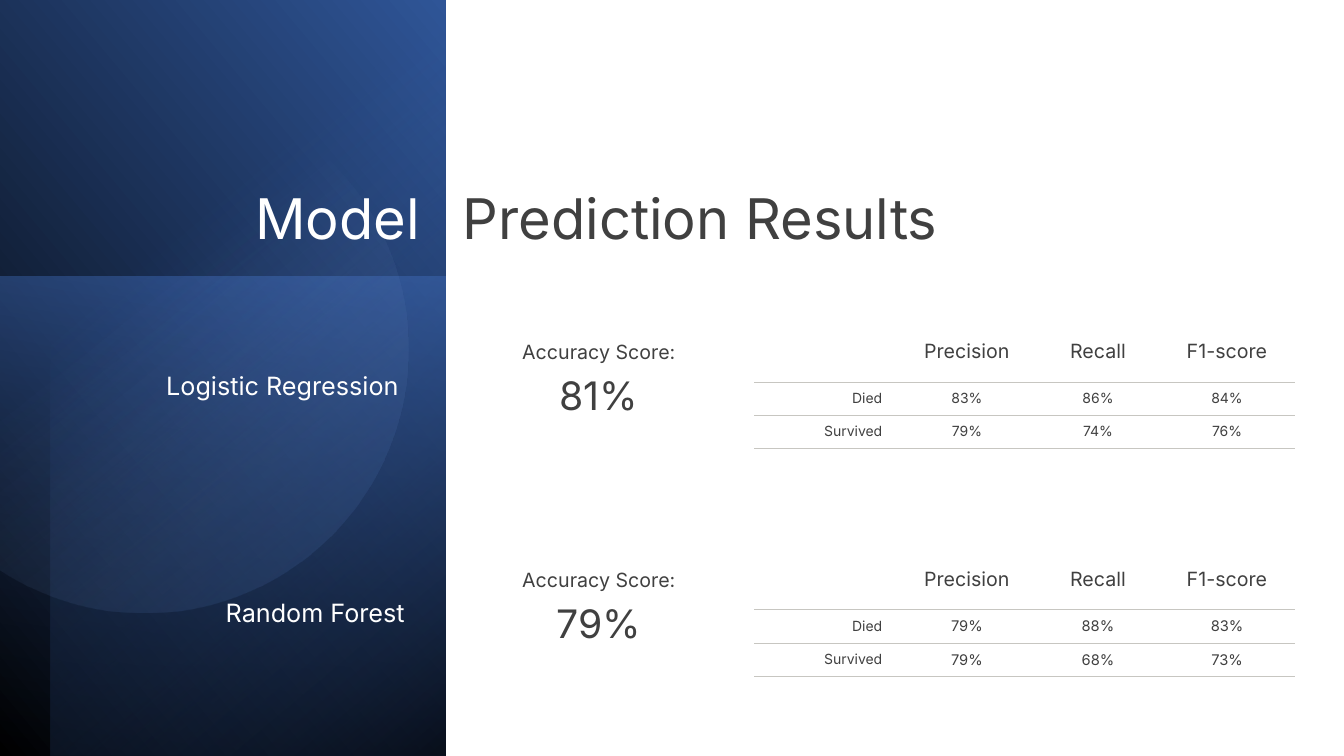
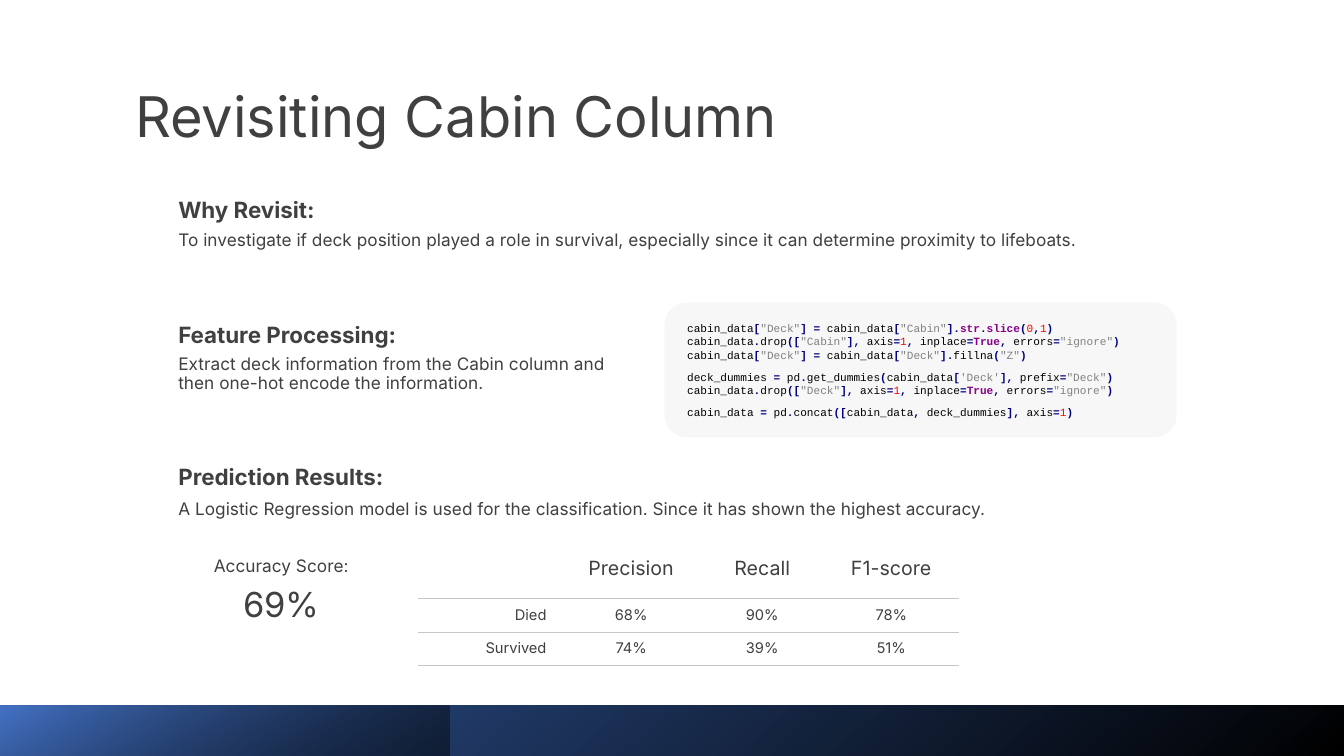
"""Build two slides on survival model results and the cabin feature."""
import math
from itertools import groupby

from lxml import etree
from pptx import Presentation
from pptx.dml.color import RGBColor
from pptx.enum.shapes import MSO_SHAPE
from pptx.enum.text import MSO_ANCHOR, MSO_AUTO_SIZE, PP_ALIGN
from pptx.oxml.ns import qn
from pptx.util import Inches, Pt

W, H = 13.33, 7.5
FONT, CODE_FONT = "Inter", "Courier New"
COLORS = {"ink": "404040", "white": "FFFFFF", "rule": "C7C6C1", "black": "000000",
          "blue": "2F5597", "bright": "4472C4", "deep": "203864", "pale": "8FAADC",
          "grey": "808080", "navy": "000080", "purple": "880088", "red": "FF0000"}

HEADERS = ["", "Precision", "Recall", "F1-score"]
MODELS = [
    ("Logistic Regression", 1.55, "81%", 10,
     [["Died", "83%", "86%", "84%"], ["Survived", "79%", "74%", "76%"]]),
    ("Random Forest", 2.14, "79%", 10.5,
     [["Died", "79%", "88%", "83%"], ["Survived", "79%", "68%", "73%"]]),
]
CABIN_SCORES = [["Died", "68%", "90%", "78%"], ["Survived", "74%", "39%", "51%"]]
SECTIONS = [
    ("Why Revisit:", "To investigate if deck position played a role in survival, "
     "especially since it can determine proximity to lifeboats.",
     (1.67, 1.75, 9.6, 0.96), MSO_ANCHOR.MIDDLE, 0.9),
    ("Feature Processing:", "Extract deck information from the Cabin column and then "
     "one-hot encode the information.",
     (1.67, 3.08, 4.77, 0.96), MSO_ANCHOR.MIDDLE, 0.9),
    ("Prediction Results:", "A Logistic Regression model is used for the classification. "
     "Since it has shown the highest accuracy.",
     (1.67, 4.55, 9.25, 0.65), MSO_ANCHOR.TOP, 1.0),
]
CODE = [
    ['cabin_data["Deck"] = cabin_data["Cabin"].str.slice(0,1)',
     'cabin_data.drop(["Cabin"], axis=1, inplace=True, errors="ignore")',
     'cabin_data["Deck"] = cabin_data["Deck"].fillna("Z")'],
    ['deck_dummies = pd.get_dummies(cabin_data[\'Deck\'], prefix="Deck")',
     'cabin_data.drop(["Deck"], axis=1, inplace=True, errors="ignore")'],
    ['cabin_data = pd.concat([cabin_data, deck_dummies], axis=1)'],
]
KEYWORDS = {"str", "slice", "True"}
CODE_STYLES = {"string": ("grey", False), "sign": ("navy", True), "number": ("red", False),
               "keyword": ("purple", True), "name": ("black", False)}

PANEL = 4.42
PANEL_LAYERS = [
    ((0, 0, PANEL, 7.52), 90, True, [(0, "black", 100), (100, "blue", 100)], 310),
    ((0, 2.74, PANEL, 4.76), 270, False, [(0, "bright", 50), (100, "deep", 0)], 190),
    ((0.5, 0, 3.92, H), 270, True, [(0, "black", 59), (69, "bright", 0)], 220),
]
FOOTER_LAYERS = [
    ((0, 7, W, 0.5), 0, False, [(0, "black", 100), (100, "blue", 100)], 230),
    ((0, 7, 4.46, 0.5), 0, False, [(0, "black", 46), (99, "bright", 100)], 240),
]
DISC = (1.43, 3.46, 2.62)
DISC_STOPS = [(39, "pale", 0), (100, "blue", 26)]
TABLE_COLS, TABLE_ROWS = [1.38, 1.42, 1.18, 1.38], [0.61, 0.33, 0.33]


def inches(box):
    return [Inches(value) for value in box]


def add_run(paragraph, text, size, color="ink", bold=False, font=FONT):
    run = paragraph.add_run()
    run.text = text
    run.font.size, run.font.name, run.font.bold = Pt(size), font, bold
    run.font.color.rgb = RGBColor.from_string(COLORS[color])


def color_node(parent, color, alpha=100):
    node = etree.SubElement(parent, qn("a:srgbClr"), val=COLORS[color])
    if alpha < 100:
        etree.SubElement(node, qn("a:alpha"), val=str(alpha * 1000))


def paint(shape, stops, angle):
    """Fill a shape with a gradient whose angle runs clockwise."""
    shape.shadow.inherit = False
    shape.line.fill.background()
    shape.fill.gradient()
    shape.fill.gradient_angle = 360 - angle
    stop_list = shape._element.spPr.find(qn("a:gradFill")).find(qn("a:gsLst"))
    for old in list(stop_list):
        stop_list.remove(old)
    for position, color, alpha in stops:
        color_node(etree.SubElement(stop_list, qn("a:gs"), pos=str(position * 1000)), color, alpha)


def add_layers(slide, layers):
    for (left, top, width, height), turn, flip, stops, angle in layers:
        center_x, center_y = left + width / 2, top + height / 2
        if turn:
            width, height = height, width
        box = (center_x - width / 2, center_y - height / 2, width, height)
        band = slide.shapes.add_shape(MSO_SHAPE.RECTANGLE, *inches(box))
        band.rotation = turn
        if flip:
            band._element.spPr.find(qn("a:xfrm")).set("flipH", "1")
        paint(band, stops, angle)


def add_disc(slide):
    """Draw a disc cut straight by the left edge of the slide."""
    x, y, radius = DISC
    limit, steps = math.acos(-x / radius), 120
    angles = [limit * (2 * i / steps - 1) for i in range(steps + 1)]
    points = [(Inches(x + radius * math.cos(a)), Inches(y + radius * math.sin(a))) for a in angles]
    builder = slide.shapes.build_freeform(*points[0], scale=1.0)
    builder.add_line_segments(points[1:], close=True)
    paint(builder.convert_to_shape(), DISC_STOPS, 51.6)


def new_slide(deck, box, anchor, runs):
    slide = deck.slides.add_slide(deck.slide_layouts[5])
    title = slide.shapes.title
    title.left, title.top, title.width, title.height = inches(box)
    frame = title.text_frame
    frame.auto_size, frame.vertical_anchor, frame.word_wrap = MSO_AUTO_SIZE.NONE, anchor, True
    paragraph = frame.paragraphs[0]
    paragraph.alignment, paragraph.line_spacing = PP_ALIGN.LEFT, 0.9
    for text, color in runs:
        add_run(paragraph, text, 40, color)
    return slide


def add_text(slide, box, lines, anchor=MSO_ANCHOR.TOP, align=PP_ALIGN.LEFT,
             spacing=1.0, before=0, after=0):
    frame = slide.shapes.add_textbox(*inches(box)).text_frame
    frame.word_wrap, frame.vertical_anchor = True, anchor
    for index, (text, size, color, bold) in enumerate(lines):
        paragraph = frame.add_paragraph() if index else frame.paragraphs[0]
        paragraph.alignment, paragraph.line_spacing = align, spacing
        paragraph.space_before, paragraph.space_after = Pt(before), Pt(after)
        add_run(paragraph, text, size, color, bold)


def add_accuracy(slide, box, score, size, gap):
    lines = [("Accuracy Score:", size, "ink", False), (score, size * 2, "ink", False)]
    add_text(slide, box, lines, align=PP_ALIGN.CENTER, before=gap)


def rule_cell(cell, sides):
    properties = cell._tc.get_or_add_tcPr()
    for index, side in enumerate(("lnL", "lnR", "lnT", "lnB")):
        line = etree.Element(qn("a:" + side), w=str(Pt(0.75)))
        properties.insert(index, line)
        if side in sides:
            color_node(etree.SubElement(line, qn("a:solidFill")), "rule")
        else:
            etree.SubElement(line, qn("a:noFill"))


def add_scores(slide, left, top, rows, label_size, value_size):
    grid = [HEADERS] + rows
    box = (left, top, sum(TABLE_COLS), sum(TABLE_ROWS))
    table = slide.shapes.add_table(len(grid), len(HEADERS), *inches(box)).table
    table.first_row = table.horz_banding = False
    for column, width in zip(table.columns, TABLE_COLS):
        column.width = Inches(width)
    for r, (values, height) in enumerate(zip(grid, TABLE_ROWS)):
        table.rows[r].height = Inches(height)
        for c, value in enumerate(values):
            cell = table.cell(r, c)
            cell.fill.background()
            rule_cell(cell, ("lnT", "lnB") if r else ("lnB",))
            cell.vertical_anchor = MSO_ANCHOR.MIDDLE
            cell.margin_left, cell.margin_right = Inches(0.15), Inches(0.11)
            cell.margin_top = cell.margin_bottom = Inches(0.07)
            paragraph = cell.text_frame.paragraphs[0]
            paragraph.alignment = PP_ALIGN.CENTER if c or not r else PP_ALIGN.RIGHT
            if value:
                add_run(paragraph, value, 14 if not r else value_size if c else label_size)


def code_tokens(line):
    """Split a code line into pieces of text with their style."""
    quoted, marked = False, []
    for char in line:
        quote = char in "\"'"
        word = char.isalnum() or char == "_"
        marked.append((char, "string" if quote or quoted else "name" if word else "sign"))
        quoted ^= quote
    for kind, group in groupby(marked, key=lambda pair: pair[1]):
        text = "".join(char for char, _ in group)
        if kind == "name":
            kind = "number" if text.isdigit() else "keyword" if text in KEYWORDS else "name"
        yield text, CODE_STYLES[kind]


def add_code(slide, box):
    card = slide.shapes.add_shape(MSO_SHAPE.ROUNDED_RECTANGLE, *inches(box))
    card.shadow.inherit = False
    card.line.fill.background()
    card.fill.solid()
    card.fill.fore_color.rgb = RGBColor.from_string(COLORS["grey"])
    shade = card._element.spPr.find(qn("a:solidFill"))[0]
    etree.SubElement(shade, qn("a:alpha"), val="6000")
    frame = card.text_frame
    frame.word_wrap, frame.vertical_anchor = True, MSO_ANCHOR.MIDDLE
    frame.margin_left = frame.margin_right = Inches(0.16)
    frame.margin_top = frame.margin_bottom = Inches(0.12)
    for index, block in enumerate(CODE):
        paragraph = frame.add_paragraph() if index else frame.paragraphs[0]
        paragraph.alignment = PP_ALIGN.LEFT
        paragraph.line_spacing, paragraph.space_after = Pt(9.6), Pt(6)
        for number, line in enumerate(block):
            if number:
                paragraph.add_line_break()
            for text, (color, bold) in code_tokens(line):
                add_run(paragraph, text, 7.9, color, bold, CODE_FONT)


def build_results(deck):
    slide = new_slide(deck, (2.43, 1.85, 9.35, 1.06), MSO_ANCHOR.TOP,
                      [("Model\t", "white"), ("Prediction Results", "ink")])
    title = slide.shapes.title
    tabs = etree.SubElement(title.text_frame.paragraphs[0]._p.get_or_add_pPr(), qn("a:tabLst"))
    etree.SubElement(tabs, qn("a:tab"), pos=str(Inches(2.06)), algn="l")
    add_layers(slide, PANEL_LAYERS)
    add_disc(slide)
    slide.shapes._spTree.append(title._element)
    for index, (name, left, score, size, rows) in enumerate(MODELS):
        top = 3.18 + index * 2.26
        add_text(slide, (left, top + 0.44, 4.23 - left, 0.4), [(name, 18, "white", False)])
        add_scores(slide, 7.48, top, rows, 10, size)
        add_accuracy(slide, (5.03, top + 0.14, 1.82, 0.89), score, 14, 6)


def build_cabin(deck):
    slide = new_slide(deck, (1.24, 0.58, 11.13, 1.2), MSO_ANCHOR.MIDDLE,
                      [("Revisiting Cabin Column", "ink")])
    add_layers(slide, FOOTER_LAYERS)
    for heading, body, box, anchor, spacing in SECTIONS:
        lines = [(heading, 16, "ink", True), (body, 12.3, "ink", False)]
        add_text(slide, box, lines, anchor, spacing=spacing, after=5.3)
    add_code(slide, (6.59, 3, 5.08, 1.34))
    add_scores(slide, 4.15, 5.33, CABIN_SCORES, 10.5, 10.5)
    add_accuracy(slide, (1.98, 5.46, 1.62, 0.79), "69%", 12.3, 5.3)


deck = Presentation()
deck.slide_width, deck.slide_height = Inches(W), Inches(H)
build_results(deck)
build_cabin(deck)
deck.save("out.pptx")
